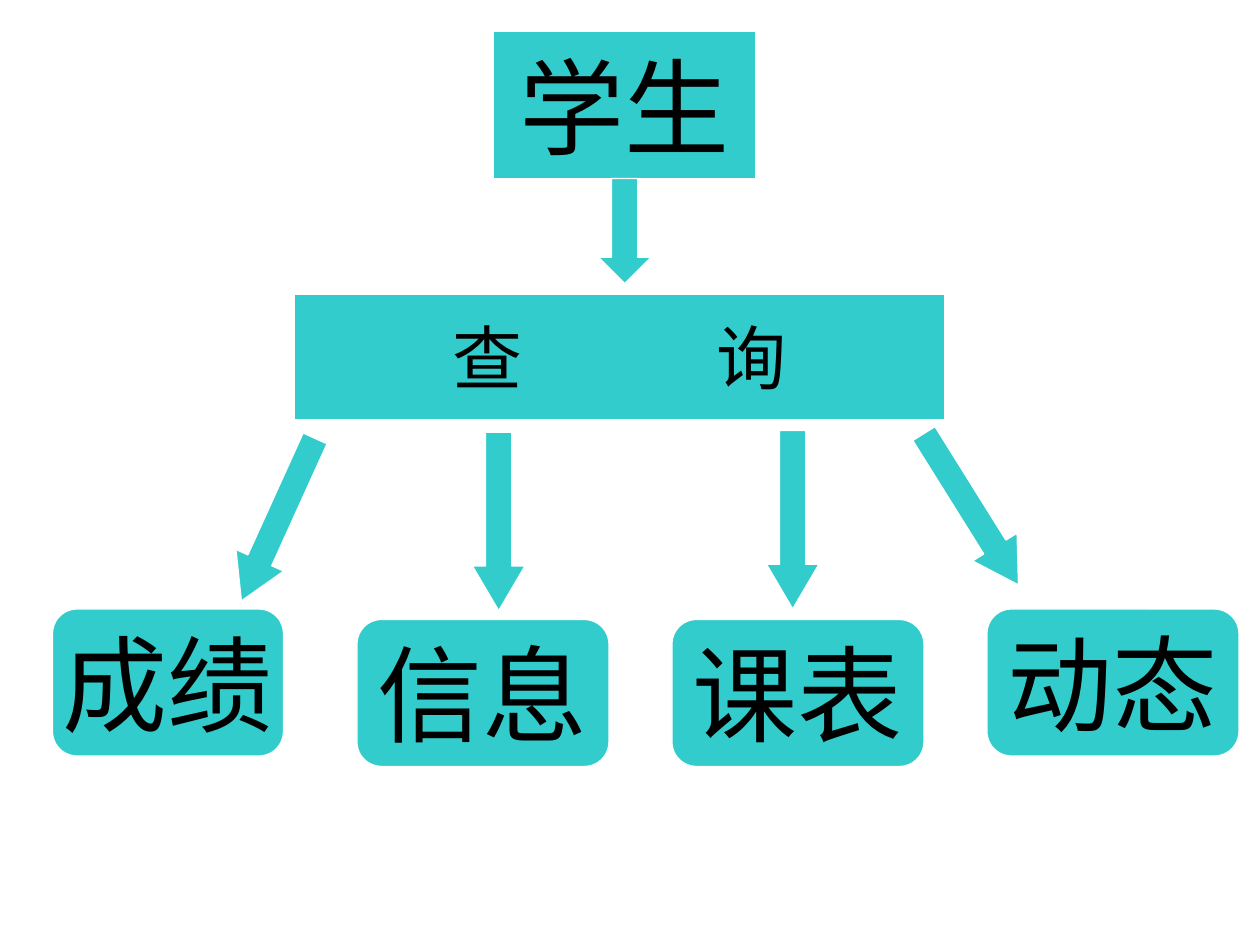
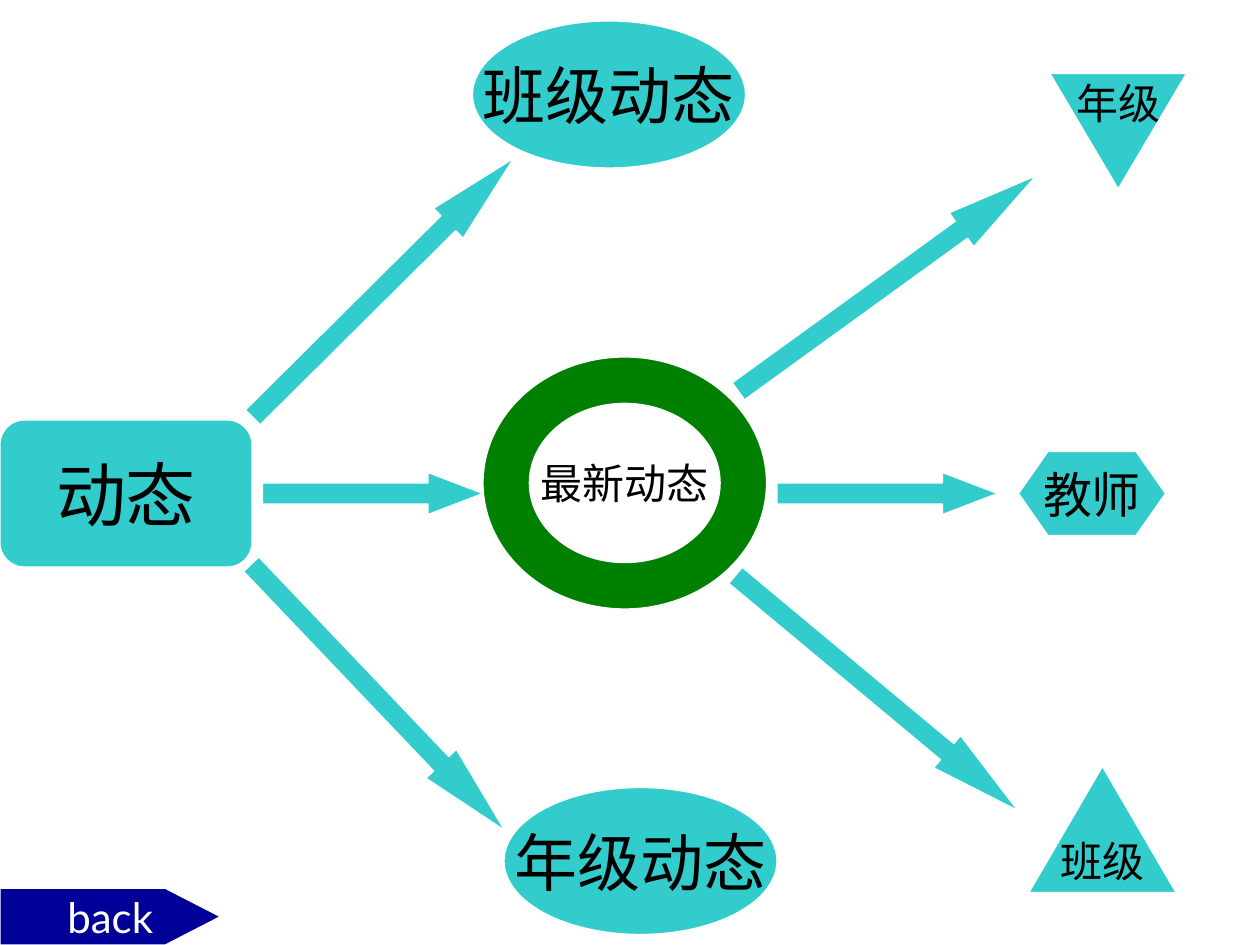
from typing import NamedTuple

from pptx import Presentation
from pptx import util as u
from pptx.dml.color import RGBColor
from pptx.enum import shapes, text
from pptx.oxml import ns
from pptx.shapes.autoshape import Shape
from pptx.slide import Slide

COLORS = {"teal": "33CCCC", "green": "008000", "navy": "000099",
          "black": "000000", "white": "FFFFFF"}
CJK_FONT, LATIN_FONT = "DejaVu Sans", "Lato"
KIND = shapes.MSO_SHAPE
BOX_HEIGHT = 84
ROUNDING = 0.167
RING_THICKNESS = 0.184
DOWN_WIDTH, RIGHT_HEIGHT = 30, 24


class Node(NamedTuple):
    label: str
    kind: KIND
    left: float
    top: float
    width: float
    height: float
    size: float
    fill: str = "teal"
    adjustment: float | None = None
    letter_spacing: float = 0


class Arrow(NamedTuple):
    """A block arrow; head is the head's length relative to its breadth."""
    left: float
    top: float
    length: float
    head: float
    rotation: float = 0
    down: bool = False


def rounded(label: str, left: float, top: float, width: float = 144, size: float = 60) -> Node:
    return Node(label, KIND.ROUNDED_RECTANGLE, left, top, width, BOX_HEIGHT, size,
                adjustment=ROUNDING)


def oval(label: str, left: float, top: float) -> Node:
    return Node(label, KIND.OVAL, left, top, 156, BOX_HEIGHT, 36)


STUDENT_NODES = [
    Node("学生", KIND.RECTANGLE, 282, 18, 150, BOX_HEIGHT, 60),
    Node("查 询", KIND.RECTANGLE, 168, 168, 372, 72, 40, letter_spacing=49),
    rounded("信息", 204, 354),
    rounded("成绩", 30, 348, width=132),
    rounded("课表", 384, 354),
    rounded("动态", 564, 348),
]
STUDENT_ARROWS = [
    Arrow(342, 102, 60, 0.5, down=True),
    Arrow(270, 247, 102, 0.85, down=True),
    Arrow(144, 246, 102, 0.85, 24.4, down=True),
    Arrow(438, 246, 102, 0.85, down=True),
    Arrow(540, 240, 102, 0.85, 328, down=True),
]
NEWS_NODES = [
    rounded("动态", 0, 240, size=40),
    Node("最新动态", KIND.DONUT, 276, 204, 162, 144, 24, "green", RING_THICKNESS),
    oval("班级动态", 270, 12),
    oval("年级动态", 288, 450),
    Node("教师", KIND.FLOWCHART_PREPARATION, 582, 258, 84, 48, 28),
    Node("年级", KIND.FLOWCHART_MERGE, 600, 42, 78, 66, 24),
    Node("班级", KIND.ISOSCELES_TRIANGLE, 588, 438, 84, 72, 24, adjustment=0.5),
]
NEWS_ARROWS = [
    Arrow(150, 270, 126, 1.31),
    Arrow(114, 152.5, 210, 2.19, 315.2),
    Arrow(111, 386.5, 210, 2.19, 46.4),
    Arrow(444, 270, 126, 1.31),
    Arrow(402, 150, 210, 2.19, 324.1),
    Arrow(396, 384, 210, 2.19, 39.8),
]


def rgb(name: str) -> RGBColor:
    return RGBColor.from_string(COLORS[name])


def style(shape: Shape, fill: str) -> None:
    shape.shadow.inherit = False
    shape.fill.solid()
    shape.fill.fore_color.rgb = rgb(fill)
    shape.line.color.rgb = rgb("white")
    shape.line.width = u.Pt(0.75)


def write_label(shape: Shape, label: str, size: float, color: str = "black",
                font_name: str = CJK_FONT, letter_spacing: float = 0) -> None:
    frame = shape.text_frame
    frame.word_wrap = False
    frame.vertical_anchor = text.MSO_ANCHOR.MIDDLE
    paragraph = frame.paragraphs[0]
    paragraph.alignment = text.PP_ALIGN.CENTER
    # Spacing follows every letter but the last, so the label stays centred.
    parts = [(label[:-1], letter_spacing), (label[-1], 0)] if letter_spacing else [(label, 0)]
    for part, spacing in parts:
        run = paragraph.add_run()
        run.text = part
        run.font.size = u.Pt(size)
        run.font.name = font_name
        run.font.color.rgb = rgb(color)
        properties = run._r.get_or_add_rPr()
        east_asian = properties.makeelement(ns.qn("a:ea"), {"typeface": font_name})
        properties.find(ns.qn("a:latin")).addnext(east_asian)
        if spacing:
            properties.set("spc", str(spacing * 100))


def add_node(slide: Slide, node: Node) -> None:
    shape = slide.shapes.add_shape(node.kind, u.Pt(node.left), u.Pt(node.top),
                                   u.Pt(node.width), u.Pt(node.height))
    if node.adjustment is not None:
        shape.adjustments[0] = node.adjustment
    style(shape, node.fill)
    write_label(shape, node.label, node.size, letter_spacing=node.letter_spacing)


def add_arrow(slide: Slide, arrow: Arrow) -> None:
    if arrow.down:
        kind, width, height = KIND.DOWN_ARROW, DOWN_WIDTH, arrow.length
    else:
        kind, width, height = KIND.RIGHT_ARROW, arrow.length, RIGHT_HEIGHT
    shape = slide.shapes.add_shape(kind, u.Pt(arrow.left), u.Pt(arrow.top),
                                   u.Pt(width), u.Pt(height))
    shape.adjustments[0] = 0.5
    shape.adjustments[1] = arrow.head
    shape.rotation = arrow.rotation
    style(shape, "teal")


def add_back_tag(slide: Slide) -> None:
    top, middle, bottom, shoulder, tip = map(u.Pt, (507.6, 523.8, 540, 94.5, 126))
    builder = slide.shapes.build_freeform(0, top)
    builder.add_line_segments([(shoulder, top), (tip, middle), (shoulder, bottom), (0, bottom)])
    shape = builder.convert_to_shape()
    style(shape, "navy")
    write_label(shape, "back", 24, "white", LATIN_FONT)


def add_diagram(presentation: Presentation, nodes: list[Node], arrows: list[Arrow]) -> Slide:
    slide = presentation.slides.add_slide(presentation.slide_layouts[6])
    for node in nodes:
        add_node(slide, node)
    for arrow in arrows:
        add_arrow(slide, arrow)
    return slide


def main() -> None:
    presentation = Presentation()
    presentation.slide_width, presentation.slide_height = u.Pt(720), u.Pt(540)
    add_diagram(presentation, STUDENT_NODES, STUDENT_ARROWS)
    add_back_tag(add_diagram(presentation, NEWS_NODES, NEWS_ARROWS))
    presentation.save("out.pptx")


if __name__ == "__main__":
    main()
